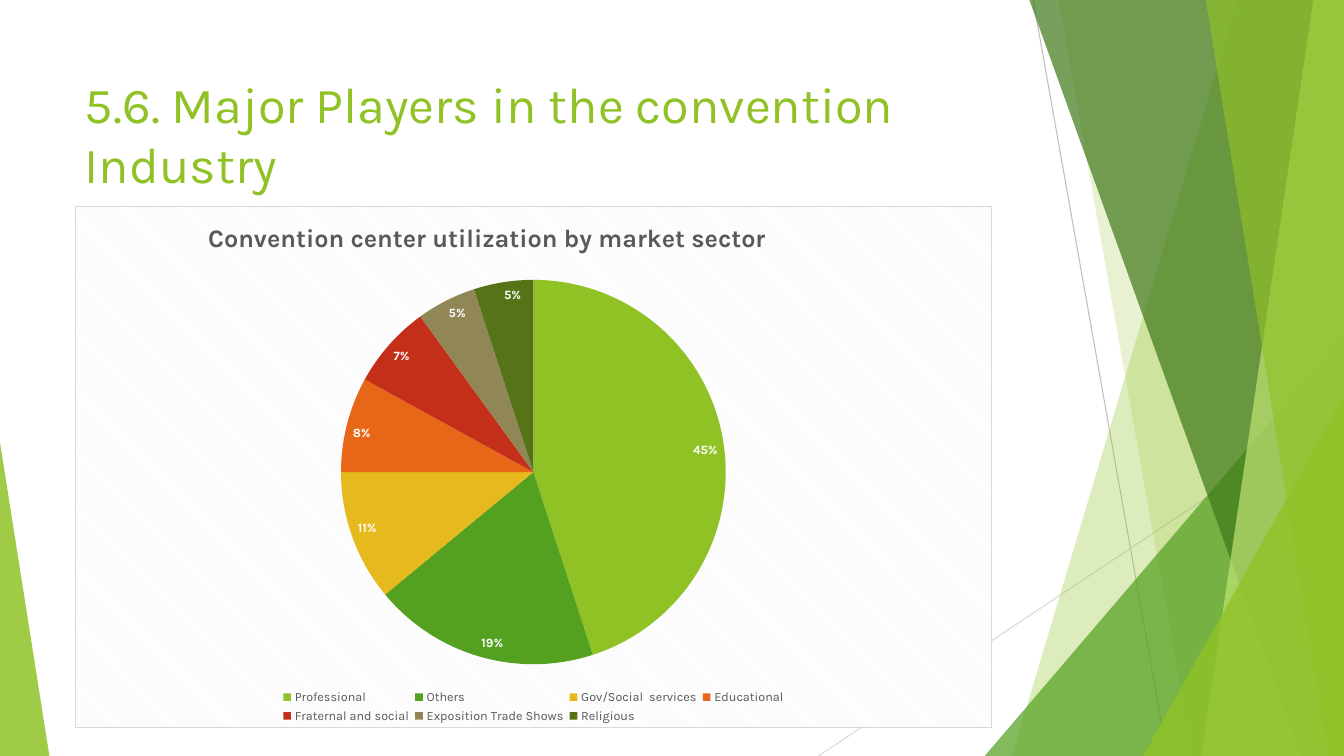
from dataclasses import dataclass
from lxml.etree import SubElement
from pptx import Presentation
from pptx.chart.data import CategoryChartData
from pptx.dml.color import RGBColor
from pptx.enum.chart import XL_CHART_TYPE, XL_LABEL_POSITION, XL_LEGEND_POSITION
from pptx.enum.shapes import MSO_CONNECTOR, MSO_SHAPE
from pptx.enum.text import MSO_ANCHOR
from pptx.oxml import parse_xml
from pptx.oxml.ns import nsdecls, qn
from pptx.util import Pt


@dataclass(frozen=True)
class Theme:
    font: str = "Karla"
    lime: str = "90C226"
    green: str = "54A021"
    forest: str = "3F7819"
    pale: str = "C0E474"
    gold: str = "E6B91E"
    orange: str = "E76618"
    red: str = "C42F1A"
    khaki: str = "918655"
    olive: str = "567417"
    gray: str = "595959"
    mist: str = "F2F2F2"
    white: str = "FFFFFF"
    rule: str = "BFBFBF"
    frame: str = "D9D9D9"
    title_size: int = 36
    chart_title_size: int = 18
    chart_size: int = 10
    small_size: int = 9
    hairline: float = 0.75


class SlideBuilder:
    def __init__(self, slide, theme, width, height):
        self.shapes = slide.shapes
        self.theme = theme
        self.width = width
        self.height = height

    def style_font(self, font, size, color, bold=False):
        font.name = self.theme.font
        font.size = Pt(size)
        font.bold = bold
        font.color.rgb = RGBColor.from_string(color)

    def paint(self, shape, color, opacity):
        shape.shadow.inherit = False
        shape.fill.solid()
        shape.fill.fore_color.rgb = RGBColor.from_string(color)
        shape.line.fill.background()
        tint = shape.element.spPr.find(f"{qn('a:solidFill')}/{qn('a:srgbClr')}")
        SubElement(tint, qn("a:alpha"), val=str(opacity * 1000))

    def line(self, start, end, color):
        points = [Pt(value) for value in (*start, *end)]
        connector = self.shapes.add_connector(MSO_CONNECTOR.STRAIGHT, *points)
        connector.line.width = Pt(self.theme.hairline)
        connector.line.color.rgb = RGBColor.from_string(color)
        SubElement(connector.element.spPr, qn("a:effectLst"))

    def shard(self, top_x, bottom_x, color, opacity):
        top = Pt(-0.6)
        right, bottom = Pt(self.width), Pt(self.height)
        outline = self.shapes.build_freeform(Pt(top_x), top)
        outline.add_line_segments([(right, top), (right, bottom), (Pt(bottom_x), bottom)])
        self.paint(outline.convert_to_shape(), color, opacity)

    def corner(self, left, top, width, peak, color, opacity):
        shape = self.shapes.add_shape(
            MSO_SHAPE.ISOSCELES_TRIANGLE, Pt(left), Pt(top), Pt(width), Pt(self.height - top)
        )
        shape.adjustments[0] = peak
        self.paint(shape, color, opacity)

    def title(self, text, left, top, width, height):
        box = self.shapes.add_textbox(Pt(left), Pt(top), Pt(width), Pt(height))
        frame = box.text_frame
        frame.word_wrap = True
        frame.vertical_anchor = MSO_ANCHOR.TOP
        span = frame.paragraphs[0].add_run()
        span.text = text
        self.style_font(span.font, self.theme.title_size, self.theme.lime)

    def arrange(self, parent, follower, inner=False, **fractions):
        for old in parent.findall(qn("c:layout")):
            parent.remove(old)
        layout = parse_xml(f"<c:layout {nsdecls('c')}><c:manualLayout/></c:layout>")
        manual = layout[0]
        if inner:
            SubElement(manual, qn("c:layoutTarget"), val="inner")
        for axis in ("x", "y"):
            SubElement(manual, qn(f"c:{axis}Mode"), val="edge")
        for name, fraction in fractions.items():
            SubElement(manual, qn(f"c:{name}"), val=str(fraction))
        parent.find(qn(follower)).addprevious(layout)

    def pie(self, heading, sectors, left, top, width, height):
        theme = self.theme
        data = CategoryChartData()
        data.categories = [name for name, share, color in sectors]
        data.add_series("Series 1", [share for name, share, color in sectors])
        chart = self.shapes.add_chart(
            XL_CHART_TYPE.PIE, Pt(left), Pt(top), Pt(width), Pt(height), data
        ).chart
        self.style_font(chart.font, theme.chart_size, "000000")

        chart.has_title = True
        span = chart.chart_title.text_frame.paragraphs[0].add_run()
        span.text = heading
        self.style_font(span.font, theme.chart_title_size, theme.gray, True)

        chart.has_legend = True
        legend = chart.legend
        legend.position = XL_LEGEND_POSITION.BOTTOM
        legend.include_in_layout = False
        self.style_font(legend.font, theme.small_size, theme.gray)

        plot = chart.plots[0]
        plot.vary_by_categories = True
        for index, (name, share, color) in enumerate(sectors):
            fill = plot.series[0].points[index].format.fill
            fill.solid()
            fill.fore_color.rgb = RGBColor.from_string(color)
        plot.has_data_labels = True
        labels = plot.data_labels
        labels.show_percentage = True
        labels.show_value = False
        labels.number_format = "0%"
        labels.number_format_is_linked = False
        labels.position = XL_LABEL_POSITION.INSIDE_END
        self.style_font(labels.font, theme.small_size, theme.white, True)

        root = chart.element.find(qn("c:chart"))
        self.arrange(root.find(qn("c:title")), "c:overlay", x=0.14, y=0.02)
        self.arrange(
            root.find(qn("c:plotArea")), "c:pieChart", True, x=0.29, y=0.14, w=0.42, h=0.74
        )
        self.arrange(root.find(qn("c:legend")), "c:overlay", x=0.22, y=0.92, w=0.56, h=0.08)
        root.addnext(parse_xml(
            f'<c:spPr {nsdecls("c", "a")}><a:pattFill prst="dkDnDiag">'
            f'<a:fgClr><a:srgbClr val="{theme.mist}"/></a:fgClr>'
            f'<a:bgClr><a:srgbClr val="{theme.white}"/></a:bgClr></a:pattFill>'
            f'<a:ln w="{Pt(theme.hairline)}"><a:solidFill>'
            f'<a:srgbClr val="{theme.frame}"/></a:solidFill></a:ln></c:spPr>'
        ))


def main():
    theme = Theme()
    width, height = 960, 540
    deck = Presentation()
    deck.slide_width, deck.slide_height = Pt(width), Pt(height)
    page = SlideBuilder(deck.slides.add_slide(deck.slide_layouts[6]), theme, width, height)

    page.line((738, 0), (833.8, height), theme.rule)
    page.line((width, 290.2), (584.6, height), theme.frame)
    page.shard(884.2, 722.9, theme.lime, 30)
    page.shard(756, 851.8, theme.lime, 20)
    page.corner(703.4, 239.8, 256.6, 1, theme.green, 72)
    page.shard(735.1, 929.5, theme.forest, 70)
    page.shard(938.2, 858.2, theme.pale, 70)
    page.shard(861.1, 949, theme.lime, 65)
    page.corner(816.5, 283, 143.5, 1, theme.lime, 80)
    page.corner(0, 316.1, 35.3, 0, theme.lime, 85)

    page.title("5.6. Major Players in the convention Industry", 53.5, 48.5, 677, 103.5)
    sectors = [
        ("Professional", 45, theme.lime),
        ("Others", 19, theme.green),
        ("Gov/Social  services", 11, theme.gold),
        ("Educational", 8, theme.orange),
        ("Fraternal and social", 7, theme.red),
        ("Exposition Trade Shows", 5, theme.khaki),
        ("Religious", 5, theme.olive),
    ]
    page.pie("Convention center utilization by market sector", sectors, 53.5, 147, 655, 373)
    deck.save("out.pptx")


if __name__ == "__main__":
    main()
